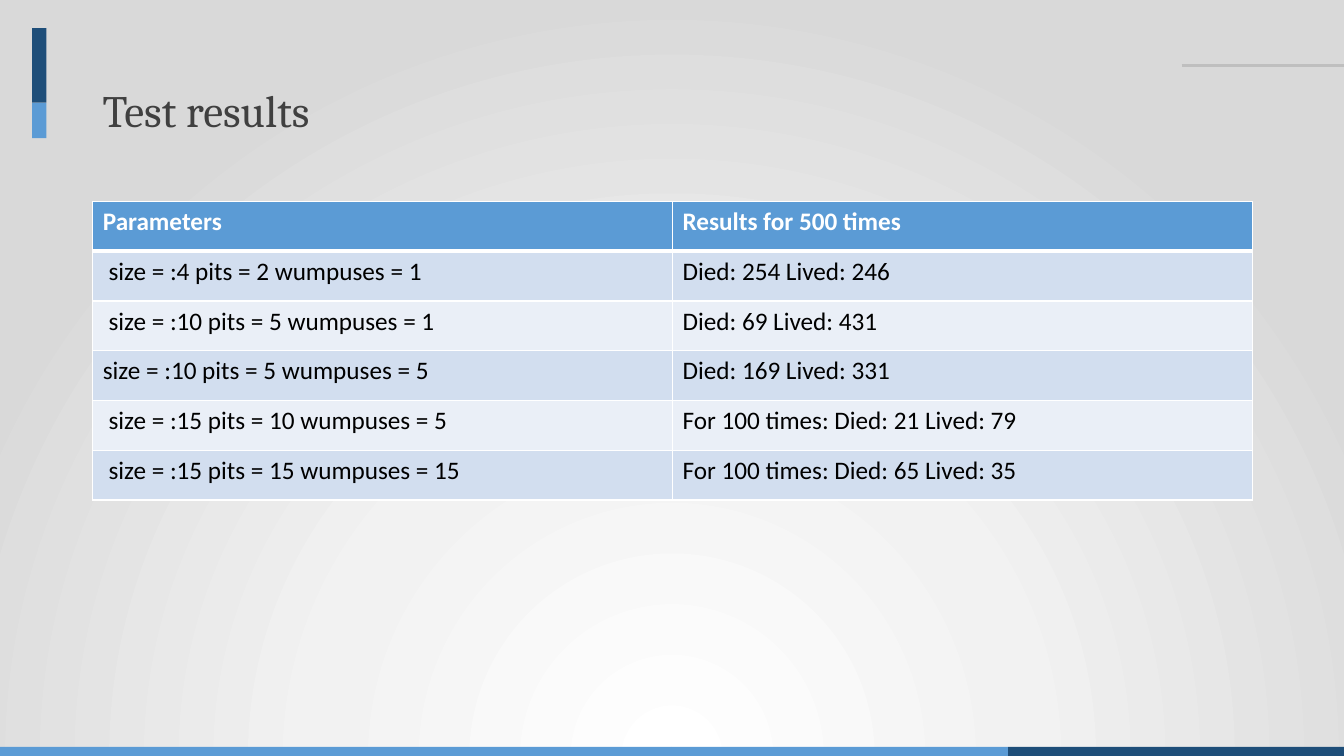
from lxml.etree import SubElement
from pptx import Presentation
from pptx.dml.color import RGBColor
from pptx.enum.shapes import MSO_CONNECTOR, MSO_SHAPE
from pptx.enum.text import MSO_ANCHOR
from pptx.oxml import parse_xml
from pptx.oxml.ns import nsdecls, qn
from pptx.util import Inches, Pt

HUES = {
    "navy": "1E4E79", "blue": "5B9BD5", "rule": "BFBFBF", "title": "404040",
    "white": "FFFFFF", "black": "000000", "dark": "D2DEEF", "light": "EAEFF7",
}
STOPS = [(0, "FFFFFF"), (46, "F2F2F2"), (100, "D9D9D9")]
ROWS = [
    ("Parameters", "Results for 500 times"),
    (" size = :4 pits = 2 wumpuses = 1", "Died: 254 Lived: 246"),
    (" size = :10 pits = 5 wumpuses = 1", "Died: 69 Lived: 431"),
    ("size = :10 pits = 5 wumpuses = 5", "Died: 169 Lived: 331"),
    (" size = :15 pits = 10 wumpuses = 5", "For 100 times: Died: 21 Lived: 79"),
    (" size = :15 pits = 15 wumpuses = 15", "For 100 times: Died: 65 Lived: 35"),
]


def style(para, font, size, hue, bold=False):
    para.font.name = font
    para.font.size = Pt(size)
    para.font.bold = bold
    para.font.color.rgb = RGBColor.from_string(HUES[hue])


def edge(cell, side, width):
    line = SubElement(cell._tc.get_or_add_tcPr(), qn(f"a:ln{side}"), w=str(Pt(width)))
    fill = SubElement(line, qn("a:solidFill"))
    SubElement(fill, qn("a:srgbClr"), val=HUES["white"])


deck = Presentation()
deck.slide_width = Inches(13.33)
deck.slide_height = Inches(7.5)
slide = deck.slides.add_slide(deck.slide_layouts[6])
shapes = slide.shapes

# Radial background, centred below the slide
stops = "".join(
    f'<a:gs pos="{pos * 1000}"><a:srgbClr val="{hue}"/></a:gs>' for pos, hue in STOPS
)
slide.element.cSld.insert(0, parse_xml(
    f'<p:bg {nsdecls("p", "a")}><p:bgPr><a:gradFill rotWithShape="1">'
    f'<a:gsLst>{stops}</a:gsLst><a:path path="circle">'
    '<a:fillToRect l="50000" t="130000" r="50000" b="-30000"/></a:path>'
    '</a:gradFill><a:effectLst/></p:bgPr></p:bg>'
))

# Accent bars at the top left and along the foot
bars = [(0.32, 0.28, 0.14, 0.74, "navy"), (0.32, 1.02, 0.14, 0.35, "blue")]
part = 13.33 / 4
for i, hue in enumerate(["blue", "blue", "blue", "navy"]):
    bars.append((i * part, 7.41, part, 0.09, hue))
for *box, hue in bars:
    bar = shapes.add_shape(MSO_SHAPE.RECTANGLE, *map(Inches, box))
    bar.shadow.inherit = False
    bar.fill.solid()
    bar.fill.fore_color.rgb = RGBColor.from_string(HUES[hue])
    bar.line.fill.background()

# Rule at the top right
rule = shapes.add_connector(
    MSO_CONNECTOR.STRAIGHT, Inches(11.72), Inches(0.65), Inches(13.33), Inches(0.65)
)
rule.line.color.rgb = RGBColor.from_string(HUES["rule"])
rule.line.width = Pt(1.75)
SubElement(rule.element.spPr, qn("a:effectLst"))

# Title
title = shapes.add_textbox(Inches(0.92), Inches(0.4), Inches(11.5), Inches(1.45))
frame = title.text_frame
frame.word_wrap = True
frame.vertical_anchor = MSO_ANCHOR.MIDDLE
para = frame.paragraphs[0]
para.text = "Test results"
para.line_spacing = 0.9
style(para, "Cambria", 32, "title")

# Results table
table = shapes.add_table(
    len(ROWS), 2, Inches(0.92), Inches(2), Inches(11.5), Inches(2.96)
).table
for r, row in enumerate(ROWS):
    head = r == 0
    hue = "blue" if head else ("dark" if r % 2 else "light")
    for c, text in enumerate(row):
        cell = table.cell(r, c)
        for side in "LRTB":
            thick = (r, side) in [(0, "B"), (1, "T")]
            edge(cell, side, 3 if thick else 1)
        cell.fill.solid()
        cell.fill.fore_color.rgb = RGBColor.from_string(HUES[hue])
        para = cell.text_frame.paragraphs[0]
        para.text = text
        style(para, "Calibri", 18, "white" if head else "black", head)

deck.save("out.pptx")
